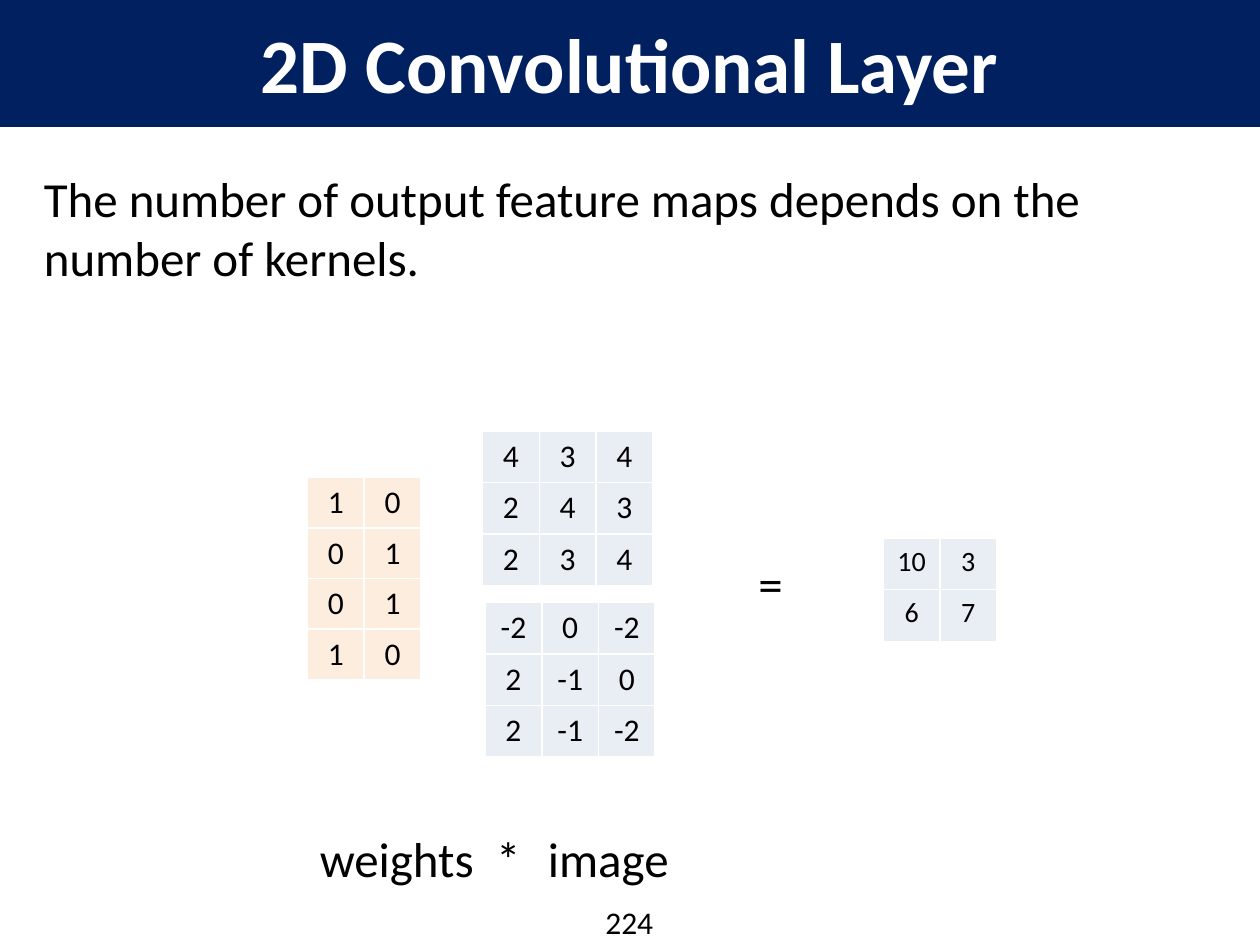
import pptx
import pptx.dml.color
import pptx.enum.shapes
import pptx.enum.text
import pptx.oxml.ns
import pptx.util
from lxml import etree
from pptx.util import Inches

RGBColor = pptx.dml.color.RGBColor
PP_ALIGN = pptx.enum.text.PP_ALIGN
qn = pptx.oxml.ns.qn

NAVY = RGBColor(0x00, 0x20, 0x60)
WHITE = RGBColor(0xFF, 0xFF, 0xFF)
BLACK = RGBColor(0x00, 0x00, 0x00)
PALE_BLUE = RGBColor(0xE9, 0xED, 0xF4)
ORANGE = RGBColor(0xF7, 0x96, 0x46)

COLUMN_WIDTH = 0.45


def style_paragraph(paragraph, size, color=BLACK, align=PP_ALIGN.LEFT):
    paragraph.alignment = align
    paragraph.font.name = "Calibri"
    paragraph.font.size = pptx.util.Pt(size)
    paragraph.font.color.rgb = color


def add_matrix(slide, left, top, values, fill, row_height=0.41, size=18, opacity=100):
    """Add a matrix as a table with white 1 pt borders and one fill."""
    rows, columns = len(values), len(values[0])
    matrix = slide.shapes.add_table(
        rows, columns, Inches(left), Inches(top),
        Inches(columns * COLUMN_WIDTH), Inches(rows * row_height)).table
    matrix.first_row = False
    matrix.horz_banding = False
    for column in matrix.columns:
        column.width = Inches(COLUMN_WIDTH)
    for r, row_values in enumerate(values):
        matrix.rows[r].height = Inches(row_height)
        for c, value in enumerate(row_values):
            cell = matrix.cell(r, c)
            cell.text = str(value)
            style_paragraph(cell.text_frame.paragraphs[0], size, align=PP_ALIGN.CENTER)
            properties = cell._tc.get_or_add_tcPr()
            for side in ("a:lnL", "a:lnR", "a:lnT", "a:lnB"):
                border = etree.SubElement(properties, qn(side), w=str(pptx.util.Pt(1)))
                border_fill = etree.SubElement(border, qn("a:solidFill"))
                etree.SubElement(border_fill, qn("a:srgbClr"), val=str(WHITE))
            cell.fill.solid()
            cell.fill.fore_color.rgb = fill
            if opacity < 100:
                color = properties.find(qn("a:solidFill")).find(qn("a:srgbClr"))
                etree.SubElement(color, qn("a:alpha"), val=str(opacity * 1000))


prs = pptx.Presentation()
prs.slide_width = Inches(10)
prs.slide_height = Inches(7.5)
slide = prs.slides.add_slide(prs.slide_layouts[6])

# Title banner
banner = slide.shapes.add_shape(
    pptx.enum.shapes.MSO_SHAPE.RECTANGLE, 0, 0, Inches(10), Inches(1))
banner.shadow.inherit = False
banner.fill.solid()
banner.fill.fore_color.rgb = NAVY
banner.line.color.rgb = NAVY
banner.line.width = pptx.util.Pt(0.75)
banner.text_frame.vertical_anchor = pptx.enum.text.MSO_ANCHOR.MIDDLE
title = banner.text_frame.paragraphs[0]
title.text = "2D Convolutional Layer"
style_paragraph(title, 44, WHITE, PP_ALIGN.CENTER)
title.font.bold = True

# Statement, labels and page number; the tab stop sets the asterisk apart
labels = [
    ("The number of output feature maps depends on the number of kernels.",
     0.25, 1.29, 9.5, 1.04, 28, PP_ALIGN.LEFT),
    ("weights\t*", 2.44, 6.53, 1.86, 0.57, 28, PP_ALIGN.LEFT),
    ("image", 4.25, 6.53, 1.5, 0.57, 28, PP_ALIGN.LEFT),
    ("=", 5.92, 4.34, 1.5, 0.57, 28, PP_ALIGN.LEFT),
    ("224", 4.58, 7.12, 0.83, 0.4, 18, PP_ALIGN.CENTER),
]
for text, left, top, width, height, size, align in labels:
    box = slide.shapes.add_textbox(Inches(left), Inches(top), Inches(width), Inches(height))
    box.text_frame.word_wrap = True
    paragraph = box.text_frame.paragraphs[0]
    paragraph.text = text
    if "\t" in text:
        tabs = etree.SubElement(paragraph._p.get_or_add_pPr(), qn("a:tabLst"))
        etree.SubElement(tabs, qn("a:tab"), pos=str(Inches(1.4)), algn="l")
    style_paragraph(paragraph, size, align=align)

# Kernels
for top, kernel in ((3.79, [[1, 0], [0, 1]]), (4.59, [[0, 1], [1, 0]])):
    add_matrix(slide, 2.44, top, kernel, ORANGE, row_height=0.4, opacity=17)

# Image channels
add_matrix(slide, 3.83, 3.42, [[4, 3, 4], [2, 4, 3], [2, 3, 4]], PALE_BLUE)
add_matrix(slide, 3.85, 4.78, [[-2, 0, -2], [2, -1, 0], [2, -1, -2]], PALE_BLUE)

# Output feature map
add_matrix(slide, 7.01, 4.27, [[10, 3], [6, 7]], PALE_BLUE, size=16)

prs.save("out.pptx")
